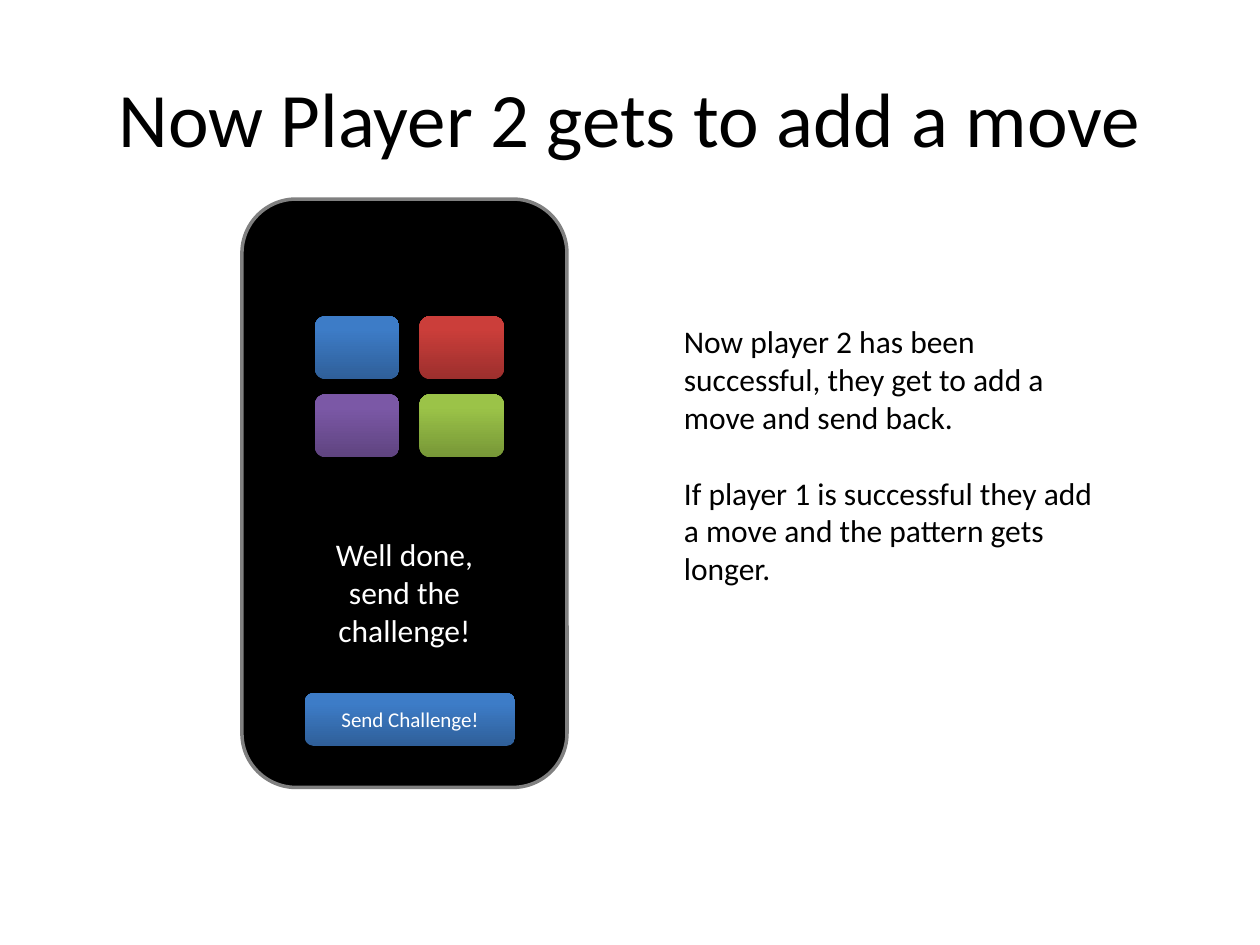
"""Build the slide on which player 2 adds a move and sends the challenge."""
from pptx import Presentation
from pptx.dml.color import RGBColor
from pptx.enum import shapes, text
from pptx.util import Inches, Pt

BLACK = RGBColor(0x00, 0x00, 0x00)
WHITE = RGBColor(0xFF, 0xFF, 0xFF)
GREY = RGBColor(0x80, 0x80, 0x80)
BLUE = (RGBColor(0x2F, 0x5F, 0x99), RGBColor(0x3D, 0x7C, 0xC7))
RED = (RGBColor(0x9C, 0x2F, 0x2D), RGBColor(0xCB, 0x3E, 0x3A))
PURPLE = (RGBColor(0x5F, 0x44, 0x80), RGBColor(0x7B, 0x58, 0xA6))
GREEN = (RGBColor(0x77, 0x97, 0x37), RGBColor(0x9B, 0xC3, 0x48))


def write(sp, paragraphs, size, color, align, anchor, gap=0):
    tf = sp.text_frame
    tf.word_wrap = True
    tf.vertical_anchor = anchor
    for i, words in enumerate(paragraphs):
        p = tf.add_paragraph() if i else tf.paragraphs[0]
        p.alignment = align
        if i:
            p.space_before = Pt(gap)
        r = p.add_run()
        r.text = words
        r.font.name = "Calibri"
        r.font.size = Pt(size)
        r.font.color.rgb = color


def add_text(s, box, paragraphs, size, color, align=text.PP_ALIGN.CENTER,
             anchor=text.MSO_ANCHOR.TOP, gap=0):
    sp = s.shapes.add_textbox(*map(Inches, box))
    write(sp, paragraphs, size, color, align, anchor, gap)


def add_rounded(s, box):
    sp = s.shapes.add_shape(shapes.MSO_SHAPE.ROUNDED_RECTANGLE, *map(Inches, box))
    sp.shadow.inherit = False
    return sp


def add_phone(s, box):
    sp = add_rounded(s, box)
    sp.fill.solid()
    sp.fill.fore_color.rgb = BLACK
    sp.line.color.rgb = GREY
    sp.line.width = Pt(2)


def add_button(s, box, shades):
    sp = add_rounded(s, box)
    sp.fill.gradient()
    sp.fill.gradient_angle = 90
    for stop, position, shade in zip(sp.fill.gradient_stops, (0, 0.8), shades):
        stop.position = position
        stop.color.rgb = shade
    sp.line.fill.background()
    return sp


def add_pads(s, left, top, rows):
    for row, colors in enumerate(rows):
        for col, shades in enumerate(colors):
            add_button(s, (left + 0.83 * col, top + 0.62 * row, 0.67, 0.5), shades)


def main():
    prs = Presentation()
    prs.slide_width, prs.slide_height = Inches(10), Inches(7.5)
    s = prs.slides.add_slide(prs.slide_layouts[6])
    add_text(s, (0.5, 0.3, 9, 1.25), ["Now Player 2 gets to add a move"], 44, BLACK,
             anchor=text.MSO_ANCHOR.MIDDLE)
    add_phone(s, (1.92, 1.58, 2.58, 4.67))
    add_pads(s, 2.5, 2.51, [(BLUE, RED), (PURPLE, GREEN)])
    add_text(s, (5.33, 2.51, 3.5, 2.22),
             ["Now player 2 has been successful, they get to add a move and send back.",
              "If player 1 is successful they add a move and the pattern gets longer."],
             18, BLACK, align=text.PP_ALIGN.LEFT, gap=21.6)
    add_text(s, (2.42, 4.2, 1.58, 1.01), ["Well done, send the challenge!"], 18, WHITE)
    send = add_button(s, (2.42, 5.5, 1.67, 0.42), BLUE)
    write(send, ["Send Challenge!"], 12, WHITE, text.PP_ALIGN.CENTER,
          text.MSO_ANCHOR.MIDDLE)
    prs.save("out.pptx")


if __name__ == "__main__":
    main()
